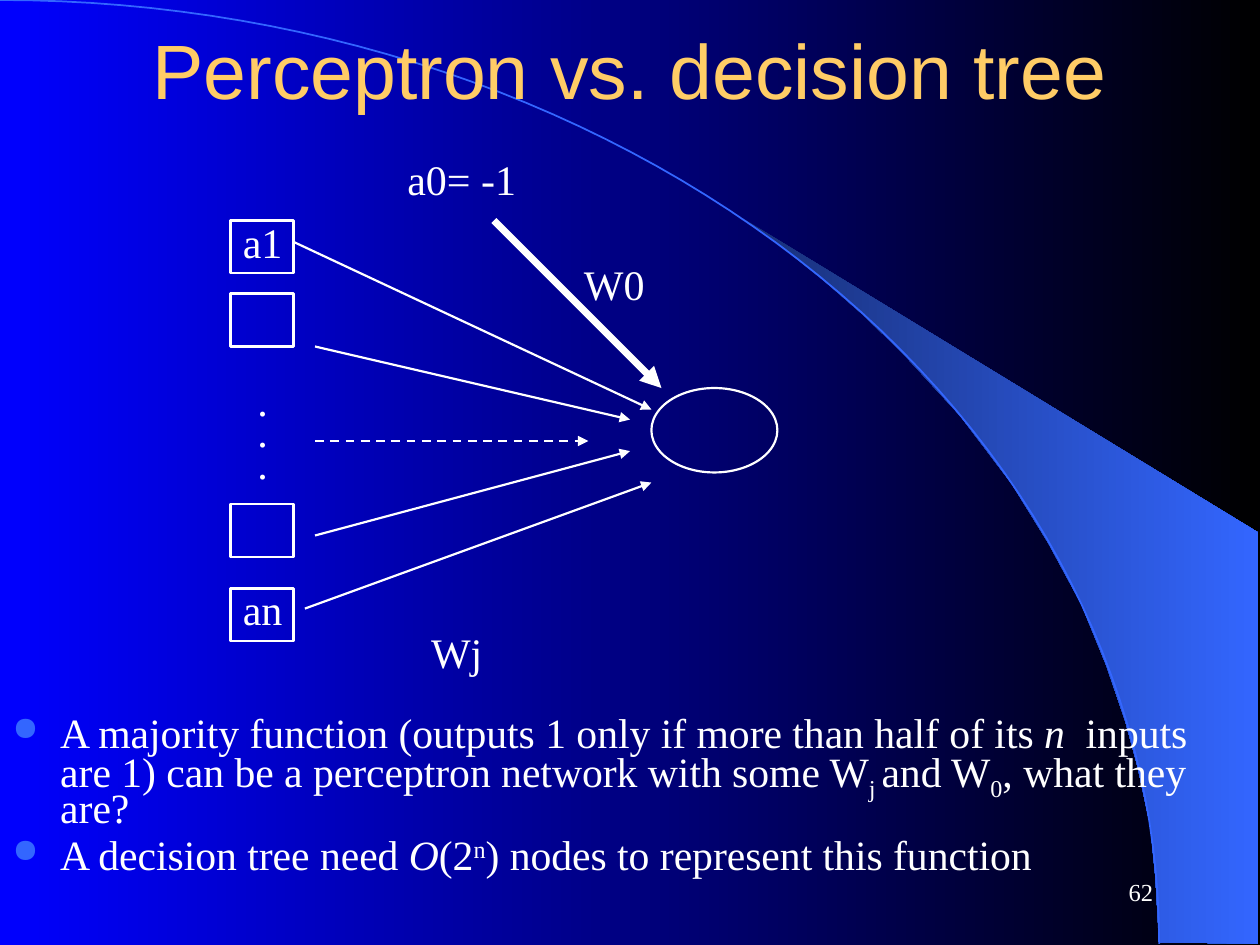
from math import cos, pi, sin

from lxml import etree
from pptx import Presentation
from pptx.dml.color import RGBColor
from pptx.enum.dml import MSO_LINE
from pptx.enum.shapes import MSO_CONNECTOR, MSO_SHAPE
from pptx.enum.text import MSO_ANCHOR, PP_ALIGN
from pptx.oxml.ns import qn
from pptx.util import Inches, Pt

RECTANGLE, OVAL = MSO_SHAPE.RECTANGLE, MSO_SHAPE.OVAL
STRAIGHT, DASH = MSO_CONNECTOR.STRAIGHT, MSO_LINE.DASH
CENTER, RIGHT, MIDDLE, TOP = PP_ALIGN.CENTER, PP_ALIGN.RIGHT, MSO_ANCHOR.MIDDLE, MSO_ANCHOR.TOP
SERIF, SANS = "Times New Roman", "Arial"
WHITE, BLUE, GOLD = "FFFFFF", "3366FF", "FFCC66"

WEDGE = [
    (9.2, 7.48), (9.99, 7.49), (9.99, 4.23), (5.89, 1.73), (6.24, 1.99), (6.53, 2.22),
    (6.85, 2.5), (7.16, 2.8), (7.62, 3.3), (8.03, 3.84), (8.32, 4.31), (8.58, 4.79),
    (8.78, 5.28), (8.93, 5.72), (9.03, 6.09), (9.13, 6.56), (9.17, 6.96),
]
LABELS = [
    ("Wj", 3.25, 4.92, 0.75), ("a0= -1", 3.08, 1.17, 1.17), ("a1", 1.75, 1.67, 0.67),
    ("an", 1.75, 4.58, 0.67), ("W0", 4.5, 2, 0.75),
]
ARROWS = [
    ((2.33, 1.92), (5.17, 3.25)), ((2.5, 2.75), (5, 3.33)),
    ((2.5, 4.25), (5, 3.58)), ((2.42, 4.83), (5.17, 3.83)),
]
BULLETS = [
    [("A majority function (outputs 1 only if more than half of its ", ""), ("n", "italic"),
     ("  inputs are 1) can be a perceptron network with some W", ""), ("j ", "sub"),
     ("and W", ""), ("0", "sub"), (", what they are?", "")],
    [("A decision tree need ", ""), ("O", "italic"), ("(2", ""), ("n", "super"),
     (") nodes to represent this function", "")],
]
BASELINES = {"sub": "-25000", "super": "30000"}


def color(value):
    """Turn a hex string into a colour."""
    return RGBColor.from_string(value)


def set_gradient(fill, start, end):
    """Fill with a left-to-right gradient."""
    fill.gradient()
    fill.gradient_angle = 0
    for stop, position, value in zip(fill.gradient_stops, (0, 1), (start, end)):
        stop.position = position
        stop.color.rgb = color(value)


def set_line(line, value, width):
    """Give a line its colour and width."""
    line.color.rgb = color(value)
    line.width = Pt(width)


def set_font(font, name, size, value):
    """Set typeface, size and colour."""
    font.name = name
    font.size = Pt(size)
    font.color.rgb = color(value)


def add_outline(page, points, close):
    """Draw a freeform through points given in inches."""
    corners = [(Inches(x), Inches(y)) for x, y in points]
    builder = page.shapes.build_freeform(*corners[0])
    builder.add_line_segments(corners[1:], close=close)
    shape = builder.convert_to_shape()
    shape.shadow.inherit = False
    return shape


def add_swoosh(page):
    """Draw the shaded wedge and the arc along its edge."""
    wedge = add_outline(page, WEDGE, True)
    set_gradient(wedge.fill, "182F76", BLUE)
    wedge.line.fill.background()
    steps = 60
    angles = [pi / 2 * step / steps for step in range(steps + 1)]
    arc = add_outline(page, [(9.2 * sin(a), 7.49 * (1 - cos(a))) for a in angles], False)
    arc.fill.background()
    set_line(arc.line, BLUE, 1)


def add_frame(page, left, top, width, height, anchor=TOP):
    """Add a wrapping text box and return its text frame."""
    box = page.shapes.add_textbox(Inches(left), Inches(top), Inches(width), Inches(height))
    frame = box.text_frame
    frame.word_wrap = True
    frame.vertical_anchor = anchor
    return frame


def add_label(page, text, left, top, width, height=0.5, size=24,
              font=SERIF, value=WHITE, align=CENTER, anchor=TOP):
    """Add a single line of text."""
    para = add_frame(page, left, top, width, height, anchor).paragraphs[0]
    para.text = text
    para.alignment = align
    set_font(para.font, font, size, value)


def add_node(page, kind, left, top, width, height):
    """Add an unfilled white outline shape."""
    shape = page.shapes.add_shape(
        kind, Inches(left), Inches(top), Inches(width), Inches(height))
    shape.shadow.inherit = False
    shape.fill.background()
    set_line(shape.line, WHITE, 1.25)


def add_arrow(page, start, end, width=1.25, dash=None):
    """Add a straight white arrow."""
    arrow = page.shapes.add_connector(STRAIGHT, *map(Inches, start + end))
    set_line(arrow.line, WHITE, width)
    if dash:
        arrow.line.dash_style = dash
    etree.SubElement(arrow.line._get_or_add_ln(), qn("a:tailEnd"), type="triangle")
    etree.SubElement(arrow._element.spPr, qn("a:effectLst"))


def set_bullet(para):
    """Give a paragraph a hanging blue dot."""
    props = para._p.get_or_add_pPr()
    props.set("marL", str(Inches(0.38)))
    props.set("indent", str(-Inches(0.38)))
    tint = etree.SubElement(props, qn("a:buClr"))
    etree.SubElement(tint, qn("a:srgbClr"), val=BLUE)
    etree.SubElement(props, qn("a:buSzPct"), val="80000")
    etree.SubElement(props, qn("a:buChar"), char="●")


def add_bullets(page):
    """Add the bulleted text below the diagram."""
    frame = add_frame(page, 0, 5.67, 10, 1.42)
    for index, spans in enumerate(BULLETS):
        para = frame.add_paragraph() if index else frame.paragraphs[0]
        set_bullet(para)
        para.line_spacing = 0.7
        para.space_before = Pt(7)
        set_font(para.font, SERIF, 23.8, WHITE)
        for text, style in spans:
            span = para.add_run()
            span.text = text
            if style == "italic":
                span.font.italic = True
            elif style:
                span.font._element.set("baseline", BASELINES[style])


def add_network(page):
    """Draw the perceptron with its inputs, weights and output."""
    for top in (1.75, 2.33, 4, 4.67):
        add_node(page, RECTANGLE, 1.83, top, 0.5, 0.42)
    for step in range(3):
        add_label(page, ".", 1.92, 2.92 + 0.25 * step, 0.33)
    add_node(page, OVAL, 5.17, 3.08, 1, 0.67)
    for start, end in ARROWS:
        add_arrow(page, start, end)
    add_arrow(page, (2.5, 3.5), (4.67, 3.5), dash=DASH)
    add_arrow(page, (3.92, 1.75), (5.25, 3.08), width=4)
    for label in LABELS:
        add_label(page, *label)


def main():
    """Build and save the slide."""
    deck = Presentation()
    deck.slide_width, deck.slide_height = Inches(10), Inches(7.5)
    page = deck.slides.add_slide(deck.slide_layouts[6])
    set_gradient(page.background.fill, "0000FF", "000000")
    add_swoosh(page)
    add_label(page, "62", 7.17, 6.83, 2.08, size=14, align=RIGHT, anchor=MIDDLE)
    add_label(page, "Perceptron vs. decision tree", 0.75, 0.17, 8.5, 0.75,
              size=44, font=SANS, value=GOLD, anchor=MIDDLE)
    add_bullets(page)
    add_network(page)
    deck.save("out.pptx")


if __name__ == "__main__":
    main()
